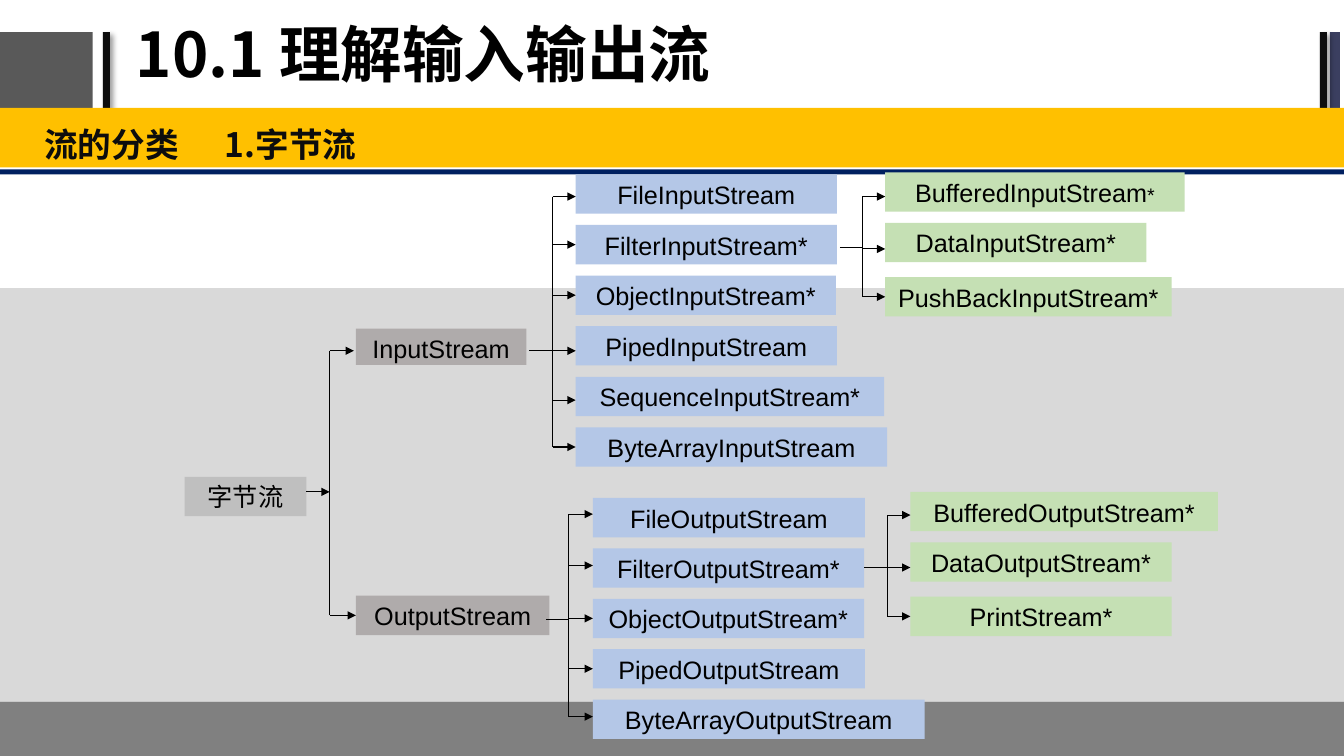
from dataclasses import dataclass

from lxml import etree
from pptx import Presentation
from pptx import util as u
from pptx.dml.color import RGBColor
from pptx.enum import shapes, text
from pptx.oxml.ns import qn


@dataclass(frozen=True)
class Theme:
    latin: str = "Arial"
    cjk: str = "Noto Sans CJK SC"
    title_size: int = 44
    section_size: int = 24
    node_size: int = 18
    mark_size: int = 14
    line_width: float = 0.75
    black: str = "000000"
    ink: str = "0D0D0D"
    slate: str = "595959"
    indigo: str = "3B3F60"
    panel: str = "D9D9D9"
    footer: str = "808080"
    navy: str = "002060"
    amber: str = "FFC000"
    root: str = "BFBFBF"
    base: str = "AFABAB"
    stream: str = "B4C7E7"
    filtered: str = "C5E0B4"


def add_node(parent, tag, **attributes):
    return etree.SubElement(parent, qn(tag), attributes)


class StreamSlide:
    """A slide laid out on square cells, 75 rows high and 133.33 columns wide."""

    ROWS, COLUMNS = 75, 133.33
    NODE_HEIGHT = 3.9
    JOIN_REACH = 0.25

    def __init__(self, deck, theme):
        self.theme = theme
        self.cell = deck.slide_height / self.ROWS
        self.page = deck.slides.add_slide(deck.slide_layouts[6])

    def cells(self, *lengths):
        return [u.Emu(round(length * self.cell)) for length in lengths]

    def block(self, left, top, width, height, color, shadow=False):
        box = self.page.shapes.add_shape(
            shapes.MSO_SHAPE.RECTANGLE, *self.cells(left, top, width, height))
        box.shadow.inherit = False
        box.fill.solid()
        box.fill.fore_color.rgb = RGBColor.from_string(color)
        box.line.fill.background()
        if shadow:
            effects = box.element.spPr.find(qn("a:effectLst"))
            outer = add_node(effects, "a:outerShdw", blurRad=str(u.Pt(4)),
                             dist=str(u.Pt(3)), dir="2700000", algn="tl", rotWithShape="0")
            tint = add_node(outer, "a:srgbClr", val=self.theme.black)
            add_node(tint, "a:alpha", val="40000")
        return box

    def style(self, font, face, size, color, bold=False):
        font.name, font.size, font.bold = face, u.Pt(size), bold
        font.color.rgb = RGBColor.from_string(color)

    def span(self, para, words):
        span = para.add_run()
        span.text = words
        add_node(span.font._element, "a:ea", typeface=self.theme.cjk)
        return span

    def heading(self, left, top, width, height, words, size, color, spacing, anchor):
        box = self.page.shapes.add_textbox(*self.cells(left, top, width, height))
        frame = box.text_frame
        frame.word_wrap, frame.vertical_anchor = True, anchor
        para = frame.paragraphs[0]
        para.line_spacing = spacing
        self.style(para.font, self.theme.cjk, size, color, bold=True)
        self.span(para, words)
        return frame

    def section(self, left, top, width, height, words, tab):
        """Section line whose second part starts at a tab stop."""
        frame = self.heading(left, top, width, height, words, self.theme.section_size,
                             self.theme.ink, 1.2, text.MSO_ANCHOR.TOP)
        frame.margin_left, frame.margin_right = self.cells(1.3, 1.3)
        frame.margin_top, frame.margin_bottom = self.cells(0.7, 0.7)
        para = frame.paragraphs[0]
        para.space_before = u.Pt(self.theme.section_size * 0.2)
        tabs = etree.Element(qn("a:tabLst"))
        add_node(tabs, "a:tab", pos=str(self.cells(tab)[0]), algn="l")
        para.font._element.addprevious(tabs)

    def node(self, left, top, width, label, color, height=NODE_HEIGHT, mark=""):
        box = self.block(left, top, width, height, color)
        frame = box.text_frame
        frame.word_wrap, frame.vertical_anchor = True, text.MSO_ANCHOR.TOP
        para = frame.paragraphs[0]
        para.alignment = text.PP_ALIGN.CENTER
        self.style(para.font, self.theme.latin, self.theme.node_size, self.theme.black)
        self.span(para, label)
        if mark:
            self.span(para, mark).font.size = u.Pt(self.theme.mark_size)
        return box

    def line(self, start, end, arrow=False):
        line = self.page.shapes.add_connector(
            shapes.MSO_CONNECTOR.STRAIGHT, *self.cells(*start, *end))
        line.line.width = u.Pt(self.theme.line_width)
        line.line.color.rgb = RGBColor.from_string(self.theme.black)
        if arrow:
            add_node(line.line._get_or_add_ln(), "a:tailEnd", type="triangle")
        add_node(line.element.spPr, "a:effectLst")
        return line

    def joined_row(self, box, row):
        """Middle row of the box if the given row is near it, else None."""
        middle = (box.top + box.height / 2) / self.cell
        return middle if abs(middle - row) < self.JOIN_REACH else None

    def branch(self, parent, start, spine, end, trunk_row, children, rows, trunk_arrow=False):
        """Trunk from the parent to a vertical spine, and an arrow to each child."""
        joined = self.joined_row(parent, trunk_row)
        trunk_row = joined or trunk_row
        trunk = self.line((start, trunk_row), (spine, trunk_row), trunk_arrow)
        if joined:
            trunk.begin_connect(parent, 3)
        ends = []
        for child, row in zip(children, rows):
            joined = self.joined_row(child, row)
            ends.append(joined or row)
            arrow = self.line((spine, ends[-1]), (end, ends[-1]), arrow=True)
            if joined:
                arrow.end_connect(child, 1)
        self.line((spine, ends[0]), (spine, ends[-1]))


INPUTS = [("FileInputStream", 25.9), ("FilterInputStream*", 25.9),
          ("ObjectInputStream*", 25.8), ("PipedInputStream", 25.9),
          ("SequenceInputStream*", 30.6), ("ByteArrayInputStream", 30.9)]
OUTPUTS = [("FileOutputStream", 27), ("FilterOutputStream*", 26.9),
           ("ObjectOutputStream*", 26.9), ("PipedOutputStream", 27),
           ("ByteArrayOutputStream", 32.9)]
FILTER_INPUTS = [("BufferedInputStream", 29.7, "*"), ("DataInputStream*", 25.9),
                 ("PushBackInputStream*", 28.4)]
FILTER_OUTPUTS = [("BufferedOutputStream*", 30.5), ("DataOutputStream*", 25.9),
                  ("PrintStream*", 25.9)]
FILTER_OFFSETS = (0, 5, 10.4)


def draw_frame(slide, theme):
    for left, width, color, shadow in [(0, 9.2, theme.slate, False),
                                       (10.2, 0.7, theme.ink, True),
                                       (131.9, 1, theme.indigo, False),
                                       (130.9, 0.7, theme.ink, True)]:
        slide.block(left, 3.2, width, 7.6, color, shadow)
    for top, height, color in [(28.6, 41, theme.panel), (69.6, 5.4, theme.footer),
                               (16.8, 0.5, theme.navy), (10.7, 5.9, theme.amber)]:
        slide.block(0, top, slide.COLUMNS, height, color)
    slide.heading(12.5, 0.2, 84.7, 11, "10.1 理解输入输出流", theme.title_size,
                  theme.black, 0.9, text.MSO_ANCHOR.MIDDLE)
    slide.section(3.1, 10.8, 130.2, 5.8, "流的分类\t1.字节流", tab=17.9)


def draw_tree(slide, theme):
    def column(left, tops, entries, color):
        return [slide.node(left, top, width, label, color, mark="".join(mark))
                for top, (label, width, *mark) in zip(tops, entries)]

    def evenly(top, pitch, entries):
        return [top + pitch * index for index in range(len(entries))]

    root = slide.node(18.3, 47.3, 12.1, "字节流", theme.root)
    source = slide.node(35.3, 32.6, 16.9, "InputStream", theme.base, height=3.6)
    sink = slide.node(35.3, 59.1, 19.2, "OutputStream", theme.base)
    inputs = column(57.1, evenly(17.3, 5.02, INPUTS), INPUTS, theme.stream)
    outputs = column(58.8, evenly(49.4, 5, OUTPUTS), OUTPUTS, theme.stream)
    filter_inputs = column(87.8, [17.1 + offset for offset in FILTER_OFFSETS],
                           FILTER_INPUTS, theme.filtered)
    filter_outputs = column(90.3, [48.8 + offset for offset in FILTER_OFFSETS],
                            FILTER_OUTPUTS, theme.filtered)

    slide.branch(root, 30.4, 32.7, 35.1, 48.8, [source, sink], [34.8, 61], trunk_arrow=True)
    slide.branch(source, 52.5, 54.8, 57.1, 34.8, inputs, [19.5, 24.4, 29.4, 34.8, 39.7, 44.4])
    slide.branch(sink, 54.2, 56.4, 58.8, 61.5, outputs, [51, 56.1, 61.5, 66.4, 71.1])
    slide.branch(inputs[1], 83.3, 85.5, 87.8, 24.6, filter_inputs, [19.5, 24.7, 29.6])
    slide.branch(outputs[1], 85.7, 88, 90.3, 56.3, filter_outputs, [51.1, 56.3, 61.3])


def main():
    deck = Presentation()
    deck.slide_width, deck.slide_height = u.Inches(13.33), u.Inches(7.5)
    theme = Theme()
    slide = StreamSlide(deck, theme)
    draw_frame(slide, theme)
    draw_tree(slide, theme)
    deck.save("out.pptx")


if __name__ == "__main__":
    main()
